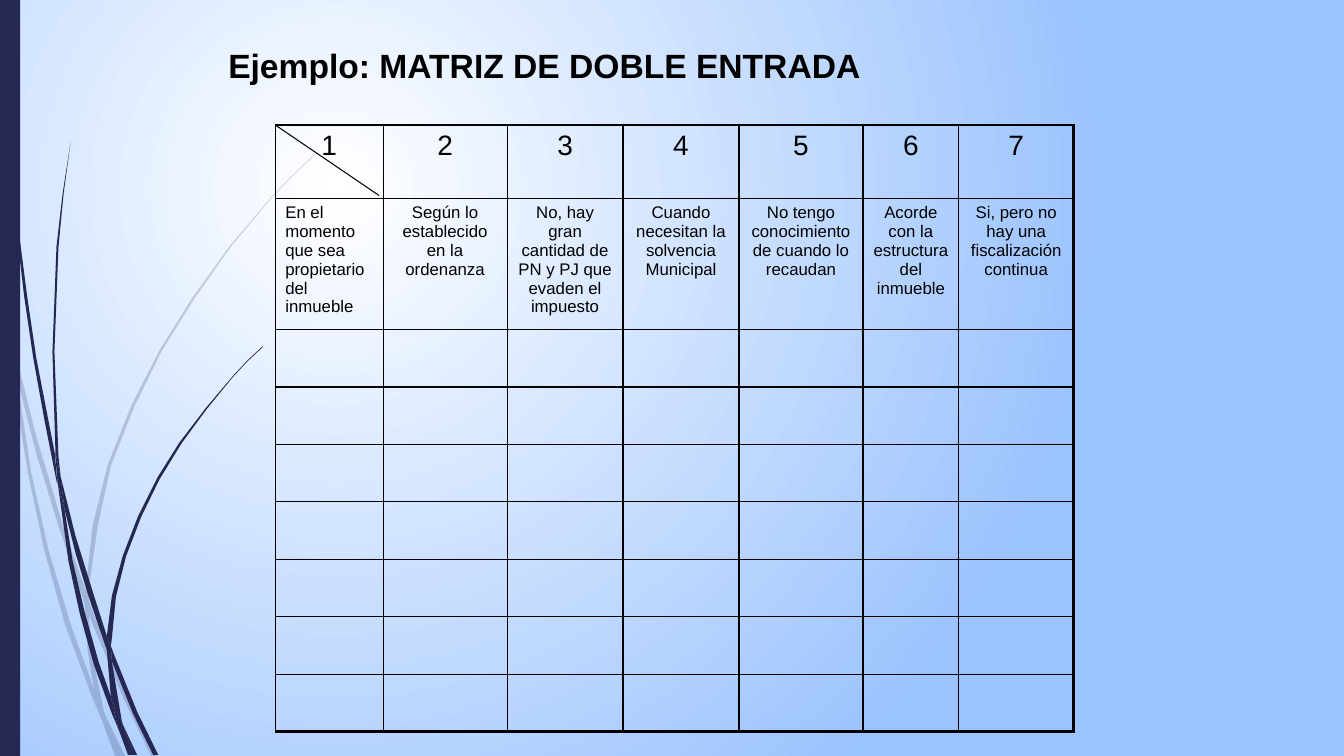
from pptx import Presentation
from pptx.dml.color import RGBColor
from pptx.enum.shapes import MSO_CONNECTOR, MSO_SHAPE
from pptx.enum.text import MSO_ANCHOR, PP_ALIGN
from pptx.oxml import parse_xml
from pptx.oxml.ns import nsdecls, qn
from pptx.util import Inches, Pt

NAVY = RGBColor(0x24, 0x28, 0x52)
BLACK = RGBColor(0, 0, 0)
WHITE = RGBColor(0xFF, 0xFF, 0xFF)
SKY = RGBColor(0x9B, 0xC3, 0xFE)
FONT = "Arial"
THIN, THICK = 1, 2.25

TITLE = "Ejemplo: MATRIZ DE DOBLE ENTRADA"
ANSWERS = [
    "En el momento que sea propietario del inmueble",
    "Según lo establecido en la ordenanza",
    "No, hay gran cantidad de PN y PJ que evaden el impuesto",
    "Cuando necesitan la solvencia Municipal",
    "No tengo conocimiento de cuando lo recaudan",
    "Acorde con la estructura del inmueble",
    "Si, pero no hay una fiscalización continua",
]
COL_WIDTHS = [1.07, 1.23, 1.15, 1.15, 1.23, 0.95, 1.14]
ROW_HEIGHTS = [0.73, 1.3] + [0.57] * 7
TABLE_LEFT, TABLE_TOP = 2.73, 1.24

# Grass blades: outline points in hundredths of an inch
PALE_BLADES = [
    [(11, 350), (9, 322), (0, 282), (0, 299), (10, 344)],
    [(58, 522), (84, 599), (85, 586), (62, 520), (36, 433), (14, 345), (17, 376), (36, 450)],
    [(92, 607), (88, 596), (88, 610), (123, 694), (150, 750), (155, 750), (127, 692)],
    [(119, 750), (124, 750), (105, 711)],
    [(93, 683), (70, 619), (48, 545), (31, 469), (17, 376), (11, 350), (18, 410), (28, 470),
     (44, 546), (65, 621), (92, 693), (101, 714), (99, 707)],
    [(84, 599), (87, 646), (93, 683), (96, 692), (105, 711), (103, 706), (91, 646), (88, 610),
     (88, 608)],
    [(88, 584), (97, 522), (110, 462), (133, 404), (160, 349), (193, 296), (229, 245), (268, 198),
     (290, 175), (312, 154), (312, 153), (289, 175), (268, 197), (228, 244), (191, 295), (158, 348),
     (130, 403), (107, 461), (92, 521), (85, 584), (85, 586), (88, 596)],
    [(101, 714), (114, 750), (119, 750)],
    [(88, 608), (88, 610), (88, 596), (85, 586), (84, 599)],
    [(96, 692), (93, 683), (99, 707), (101, 714), (119, 750), (105, 711)],
]
DARK_BLADES = [
    [(7, 110), (11, 172), (17, 233), (24, 294), (33, 355), (44, 416), (56, 477), (57, 481),
     (55, 457), (55, 453), (36, 355), (27, 294), (19, 232), (12, 171), (8, 109), (5, 48), (4, 0),
     (3, 0), (4, 48)],
    [(88, 592), (106, 645), (106, 631), (93, 590), (75, 532), (60, 472), (64, 505), (75, 549)],
    [(113, 649), (110, 641), (111, 656), (132, 708), (152, 749), (157, 749), (136, 706)],
    [(110, 691), (98, 657), (84, 607), (72, 556), (64, 505), (57, 477), (68, 557), (79, 608),
     (93, 659), (111, 708), (117, 722), (116, 717)],
    [(60, 472), (58, 453), (54, 349), (58, 245), (63, 193), (70, 141), (62, 193), (56, 245),
     (52, 349), (55, 449)],
    [(133, 749), (136, 749), (122, 719)],
    [(57, 477), (64, 505), (60, 472), (55, 449), (55, 453)],
    [(111, 633), (115, 592), (125, 552), (140, 513), (158, 476), (180, 440), (205, 406), (231, 374),
     (245, 359), (261, 344), (260, 344), (245, 358), (231, 373), (204, 405), (178, 439), (156, 474),
     (137, 512), (122, 551), (111, 591), (106, 631), (110, 641)],
    [(117, 722), (127, 749), (131, 749)],
    [(106, 645), (110, 691), (116, 706), (122, 719), (121, 716), (111, 656), (109, 651)],
    [(106, 645), (109, 651), (111, 656), (110, 641), (106, 631)],
    [(116, 706), (110, 691), (116, 717), (117, 722), (130, 749), (133, 749), (122, 719)],
]


def style_shape(sp, opacity=100):
    """Flat navy fill without outline or shadow."""
    sp.shadow.inherit = False
    sp.fill.solid()
    sp.fill.fore_color.rgb = NAVY
    sp.line.fill.background()
    if opacity < 100:
        color = sp._element.spPr.find(".//" + qn("a:srgbClr"))
        color.append(parse_xml(f'<a:alpha {nsdecls("a")} val="{opacity * 1000}"/>'))


def draw_blades(s, blades, opacity):
    group = s.shapes.add_group_shape()
    for start, *rest in blades:
        builder = group.shapes.build_freeform(*start, scale=Inches(0.01))
        builder.add_line_segments(rest, close=True)
        style_shape(builder.convert_to_shape(), opacity)


def write(tf, text, size, align, bold=False):
    p = tf.paragraphs[0]
    p.alignment = align
    r = p.add_run()
    r.text = text
    for name, value in {"name": FONT, "size": Pt(size), "bold": bold}.items():
        setattr(r.font, name, value)
    r.font.color.rgb = BLACK


def set_borders(cell, widths):
    """Widths in points, in the order left, right, top, bottom."""
    cell.fill.background()
    tc_pr = cell._tc.get_or_add_tcPr()
    for i, (side, width) in enumerate(zip("LRTB", widths)):
        tc_pr.insert(i, parse_xml(
            f'<a:ln{side} {nsdecls("a")} w="{Pt(width)}"><a:solidFill>'
            f'<a:srgbClr val="{BLACK}"/></a:solidFill></a:ln{side}>'))


def paint_background(s):
    fill = s.background.fill
    fill.gradient()
    for stop, color in zip(fill.gradient_stops, (WHITE, SKY)):
        stop.color.rgb = color
    lin = s._element.find(".//" + qn("a:lin"))
    lin.getparent().replace(lin, parse_xml(
        f'<a:path {nsdecls("a")} path="circle">'
        '<a:fillToRect l="50000" t="50000" r="100000" b="100000"/></a:path>'))


def add_title(s):
    title = s.shapes.title
    box = {"left": 1.78, "top": 0.4, "width": 7.24, "height": 0.5}
    for name, value in box.items():
        setattr(title, name, Inches(value))
    tf = title.text_frame
    tf.word_wrap = True
    tf.vertical_anchor = MSO_ANCHOR.MIDDLE
    write(tf, TITLE, 24, PP_ALIGN.CENTER, bold=True)


def add_matrix(s):
    n_rows, n_cols = len(ROW_HEIGHTS), len(COL_WIDTHS)
    table = s.shapes.add_table(
        n_rows, n_cols, Inches(TABLE_LEFT), Inches(TABLE_TOP),
        Inches(sum(COL_WIDTHS)), Inches(sum(ROW_HEIGHTS))).table
    table.first_row = table.horz_banding = False
    for column, width in zip(table.columns, COL_WIDTHS):
        column.width = Inches(width)
    for i, (row, height) in enumerate(zip(table.rows, ROW_HEIGHTS)):
        row.height = Inches(height)
        for j, cell in enumerate(row.cells):
            set_borders(cell, (THIN, THICK if j == n_cols - 1 else THIN,
                               THICK if i == 0 else THIN,
                               THICK if i == n_rows - 1 else THIN))
    for j, answer in enumerate(ANSWERS):
        write(table.cell(0, j).text_frame, str(j + 1), 20, PP_ALIGN.CENTER)
        align = PP_ALIGN.CENTER if j else PP_ALIGN.LEFT
        write(table.cell(1, j).text_frame, answer, 12, align)


def add_corner_diagonal(s):
    line = s.shapes.add_connector(
        MSO_CONNECTOR.STRAIGHT, Inches(TABLE_LEFT), Inches(TABLE_TOP),
        Inches(TABLE_LEFT + 1.03), Inches(TABLE_TOP + 0.7))
    line.line.color.rgb = BLACK
    line.line.width = Pt(0.75)
    line._element.spPr.append(parse_xml(f'<a:effectLst {nsdecls("a")}/>'))


def main():
    prs = Presentation()
    prs.slide_width, prs.slide_height = Inches(13.33), Inches(7.5)
    s = prs.slides.add_slide(prs.slide_layouts[5])
    paint_background(s)
    draw_blades(s, PALE_BLADES, 20)
    draw_blades(s, DARK_BLADES, 100)
    style_shape(s.shapes.add_shape(MSO_SHAPE.RECTANGLE, 0, 0, Inches(0.2), prs.slide_height))
    add_title(s)
    add_matrix(s)
    add_corner_diagonal(s)
    prs.save("out.pptx")


if __name__ == "__main__":
    main()
